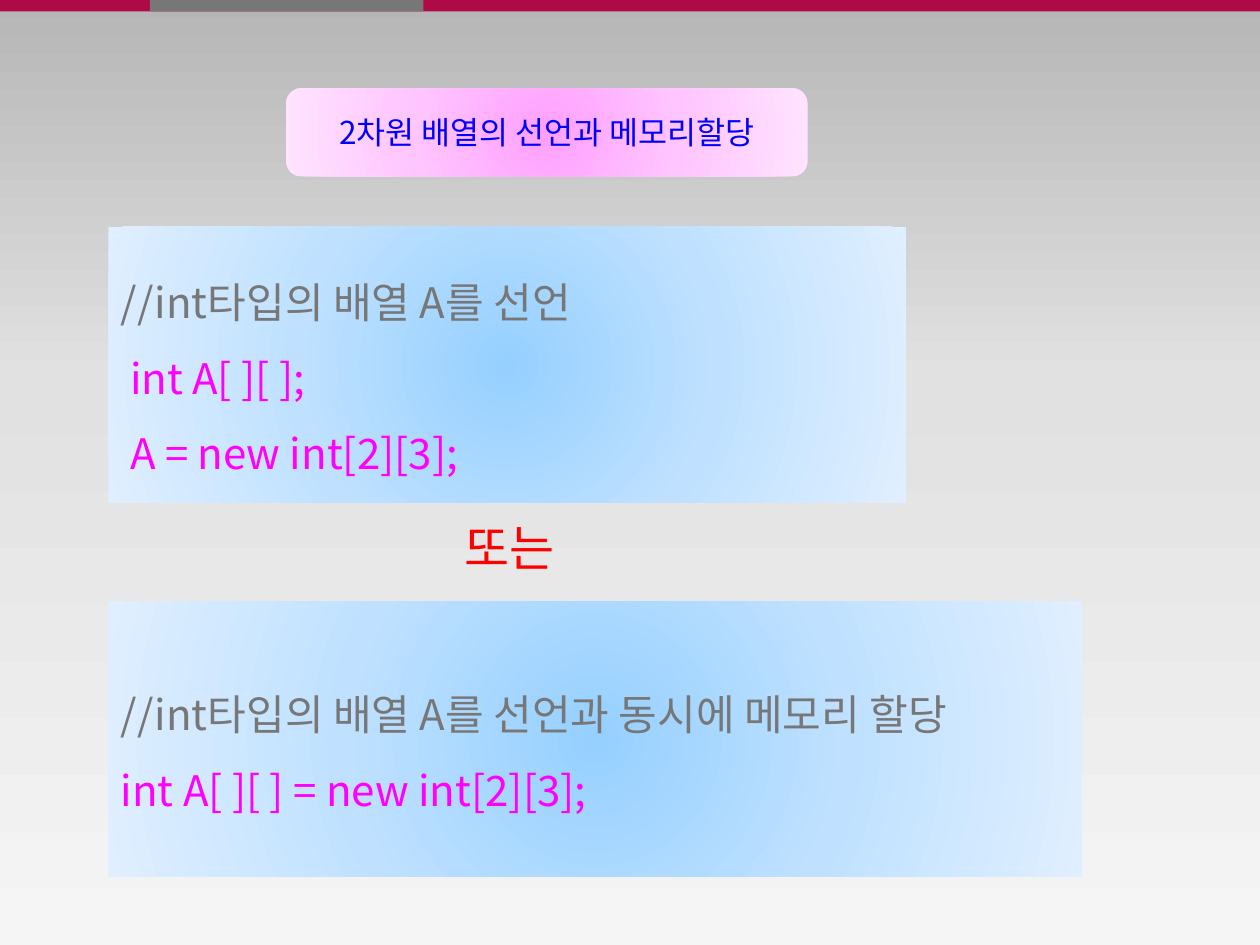
from lxml import etree
from pptx import Presentation
from pptx.dml.color import RGBColor
from pptx.enum import shapes, text
from pptx.oxml import ns
from pptx.util import Inches, Pt

FONT = "Noto Sans CJK KR"
INK = {"red": "AF0948", "gray": "777777", "code": "FF00FF", "or": "FF0000", "title": "0000FF"}
FADE = {
    "back": ["B6B6B6", "E1E1E1", "F5F5F5"],
    "blue": ["96D0FF", "BFE1FF", "E0EFFF"],
    "pink": ["FFA0FF", "FFC5FF", "FFE3FF"],
}
ROUND = ('<a:path %s path="circle"><a:fillToRect l="50000" t="50000" '
         'r="50000" b="50000"/></a:path>' % ns.nsdecls("a"))


def blend(fill, root, name, mid=50, radial=True):
    """Fill with three colours, from the centre out or from top to bottom."""
    fill.gradient()
    grad = root.find(".//" + ns.qn("a:gradFill"))
    stops = grad.find(ns.qn("a:gsLst"))
    for old in list(stops):
        stops.remove(old)
    for pos, color in zip((0, mid, 100), FADE[name]):
        stop = etree.SubElement(stops, ns.qn("a:gs"), pos=str(pos * 1000))
        etree.SubElement(stop, ns.qn("a:srgbClr"), val=color)
    line = grad.find(ns.qn("a:lin"))
    if radial:
        grad.replace(line, etree.fromstring(ROUND))
    else:
        line.set("ang", "5400000")


def write(shape, lines, size, align=text.PP_ALIGN.LEFT, space=None, wrap=True):
    """Put (words, colour) pairs in a shape, one paragraph each."""
    frame = shape.text_frame
    frame.word_wrap = wrap
    for i, (words, color) in enumerate(lines):
        para = frame.add_paragraph() if i else frame.paragraphs[0]
        para.alignment = align
        para.line_spacing = space
        run = para.add_run()
        run.text = words
        run.font.size = Pt(size)
        run.font.name = FONT
        run.font.color.rgb = RGBColor.from_string(INK[color])
        etree.SubElement(run.font._element, ns.qn("a:ea"), typeface=FONT)


deck = Presentation()
deck.slide_width, deck.slide_height = Inches(10), Inches(7.5)
slide = deck.slides.add_slide(deck.slide_layouts[6])
blend(slide.background.fill, slide.element, "back", mid=40, radial=False)

# Top band
for left, width, color in [(0, 10, "red"), (1.19, 2.17, "gray")]:
    band = slide.shapes.add_shape(
        shapes.MSO_SHAPE.RECTANGLE, Inches(left), 0, Inches(width), Inches(0.09))
    band.shadow.inherit = False
    band.fill.solid()
    band.fill.fore_color.rgb = RGBColor.from_string(INK[color])
    band.line.fill.background()

# Code panels
panels = [
    (1.8, 6.33, [("//int타입의 배열 A를 선언", "gray"),
                 (" int A[ ][ ];", "code"),
                 (" A = new int[2][3];", "code")]),
    (4.77, 7.73, [("//int타입의 배열 A를 선언과 동시에 메모리 할당", "gray"),
                  ("int A[ ][ ] = new int[2][3];", "code")]),
]
for top, width, lines in panels:
    panel = slide.shapes.add_shape(
        shapes.MSO_SHAPE.RECTANGLE, Inches(0.86), Inches(top), Inches(width), Inches(2.19))
    panel.shadow.inherit = False
    panel.line.fill.background()
    blend(panel.fill, panel.element, "blue")
    write(panel, lines, 24, space=1.5)

# Word between the panels
word = slide.shapes.add_textbox(Inches(3.59), Inches(4.06), Inches(0.99), Inches(0.57))
write(word, [("또는", "or")], 28, wrap=False)
word.text_frame.auto_size = text.MSO_AUTO_SIZE.SHAPE_TO_FIT_TEXT

# Title
title = slide.shapes.add_shape(
    shapes.MSO_SHAPE.ROUNDED_RECTANGLE, Inches(2.27), Inches(0.7), Inches(4.14), Inches(0.7))
title.adjustments[0] = 0.17
title.shadow.inherit = False
title.line.fill.background()
blend(title.fill, title.element, "pink")
write(title, [("2차원 배열의 선언과 메모리할당", "title")], 18, align=text.PP_ALIGN.CENTER)

deck.save("out.pptx")
